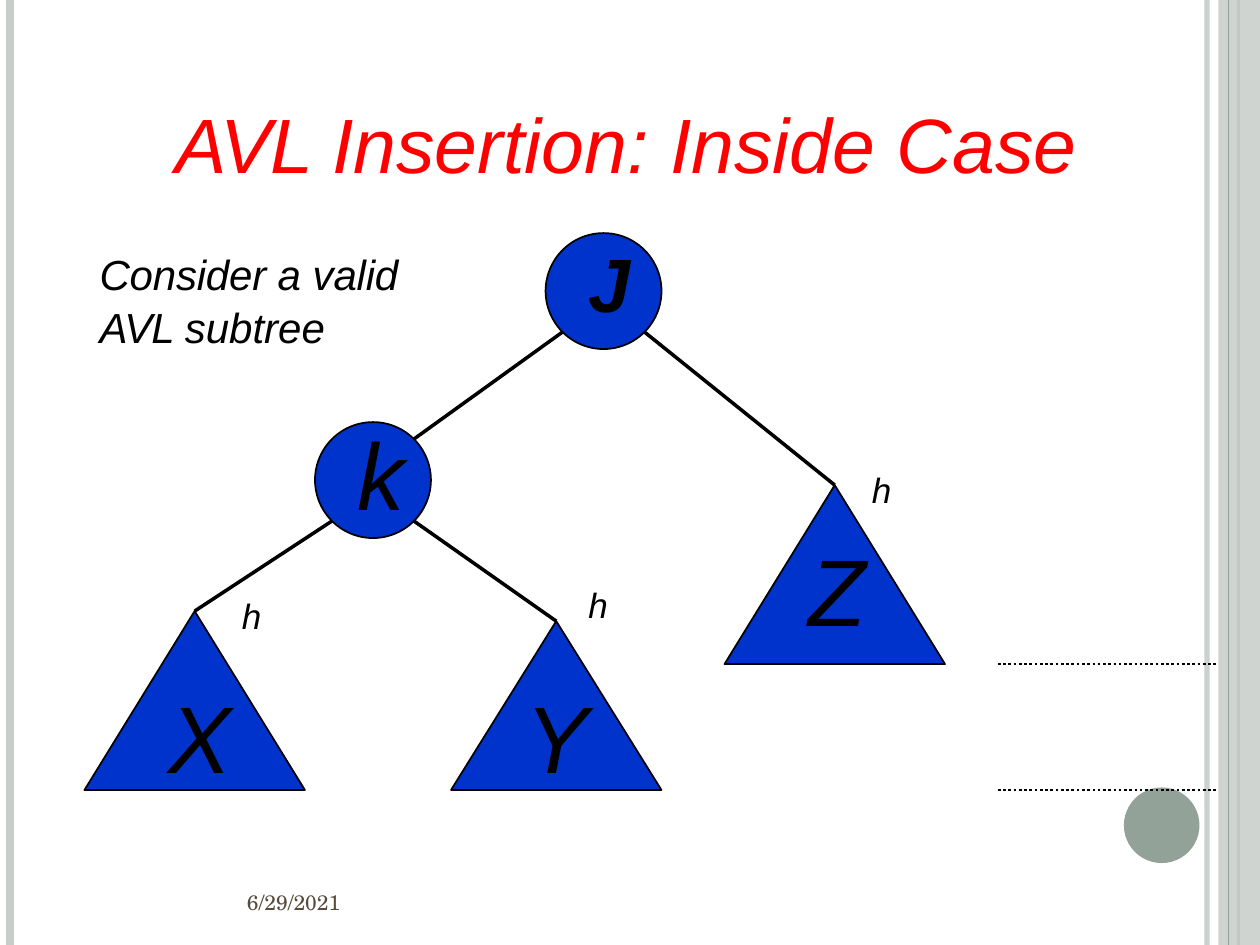
from math import sqrt

from pptx import Presentation
from pptx.dml.color import RGBColor
from pptx.enum.dml import MSO_LINE
from pptx.enum.shapes import MSO_CONNECTOR, MSO_SHAPE
from pptx.enum.text import MSO_ANCHOR, PP_ALIGN
from pptx.oxml.ns import qn
from pptx.util import Inches, Pt
from lxml.etree import SubElement

THEME = dict(
    black="000000", node="0033CC", title="FF0000", band="C8CECA",
    accent="93A299", date="564B3C", body="Arial", serif="TeX Gyre Schola",
    title_size=44, letter_size=54, note_size=24, height_size=20, date_size=12,
)
W, H = 10, 7.5

# x, colour, width in points, opacity in percent
STRIPES_BEHIND = [(9.58, THEME["band"], 3, 93), (0.08, THEME["band"], 4.5, 100),
                  (9.83, THEME["accent"], 1.5, 100)]
STRIPES_FRONT = [(9.75, THEME["accent"], 0.75, 100)]

# Lines of text, each a list of (text, character spacing in points)
TITLE = [[("AVL ", -0.8), ("Insertion: Inside Case", 0)]]
NOTE = [[("Consider ", -0.1), ("a ", 0), ("valid", -0.1)],
        [("AVL ", -0.5), ("subtree", 0)]]
DATE = [[("6/29/2021", 0)]]

DIAMETER = 0.92
CIRCLES = {"j": (4.79, 2.31), "k": (2.96, 3.81)}              # centre
SUBTREES = {"X": (0.67, 4.85, 1.75, 1.42), "Y": (3.58, 4.93, 1.67, 1.34),
            "Z": (5.75, 3.85, 1.75, 1.42)}                     # left, top, width, height
LETTERS = {"k": (2.84, 3.28, 0.4), "X": (1.34, 5.37, 0.53),
           "Y": (4.17, 5.37, 0.53), "Z": (6.42, 4.2, 0.49)}    # left, top, width
HEIGHTS = [(6.92, 3.7), (4.67, 4.61), (1.92, 4.7)]             # left, top
EDGES = [("j", -1, "k"), ("k", -1, "X"), ("k", 1, "Y"), ("j", 1, "Z")]
LEVELS = [5.27, 6.27]

prs = Presentation()
prs.slide_width, prs.slide_height = Inches(W), Inches(H)
s = prs.slides.add_slide(prs.slide_layouts[6])


def rgb(c):
    return RGBColor.from_string(c)


def set_opacity(fill_parent, percent):
    color = next(fill_parent.iter(qn("a:srgbClr")))
    SubElement(color, qn("a:alpha")).set("val", str(percent * 1000))


def add_shape(kind, x, y, w, h, fill, outline=None):
    sp = s.shapes.add_shape(kind, *map(Inches, (x, y, w, h)))
    sp.shadow.inherit = False
    sp.fill.solid()
    sp.fill.fore_color.rgb = rgb(fill)
    if outline:
        sp.line.color.rgb = rgb(outline)
        sp.line.width = Pt(1)
    else:
        sp.line.fill.background()
    return sp


def add_line(start, end, color, width, opacity=100, dash=None):
    ln = s.shapes.add_connector(MSO_CONNECTOR.STRAIGHT, *map(Inches, (*start, *end)))
    ln.line.color.rgb = rgb(color)
    ln.line.width = Pt(width)
    if dash:
        ln.line.dash_style = dash
    if opacity < 100:
        set_opacity(ln.line.fill._xPr, opacity)
    SubElement(ln._element.spPr, qn("a:effectLst"))
    return ln


def add_text(lines, x, y, w, h, size, color=THEME["black"], font=THEME["body"],
             bold=False, italic=True, align=PP_ALIGN.LEFT, anchor=MSO_ANCHOR.TOP,
             insets=(0, 0.02, 0, 0), gap=0, small_caps=False):
    tf = s.shapes.add_textbox(*map(Inches, (x, y, w, h))).text_frame
    tf.word_wrap = True
    tf.vertical_anchor = anchor
    tf.margin_left, tf.margin_top, tf.margin_right, tf.margin_bottom = map(Inches, insets)
    for i, runs in enumerate(lines):
        p = tf.add_paragraph() if i else tf.paragraphs[0]
        p.alignment = align
        if i:
            p.space_before = Pt(gap)
        for text, spacing in runs:
            r = p.add_run()
            r.text = text
            r.font.name, r.font.size = font, Pt(size)
            r.font.bold, r.font.italic = bold, italic
            r.font.color.rgb = rgb(color)
            rPr = r.font._element
            if spacing:
                rPr.set("spc", str(round(spacing * 100)))
            if small_caps:
                rPr.set("cap", "small")


def add_stripes(stripes):
    for x, color, width, opacity in stripes:
        add_line((x, 0), (x, H), color, width, opacity)


def rim(name, dx, dy):
    """Point on a circle's rim along a diagonal direction."""
    cx, cy = CIRCLES[name]
    reach = DIAMETER / 2 / sqrt(2)
    return cx + dx * reach, cy + dy * reach


# Slide frame
add_stripes(STRIPES_BEHIND)
band = add_shape(MSO_SHAPE.RECTANGLE, 9.67, 0, W - 9.67, H, THEME["band"])
set_opacity(band._element.spPr, 87)
add_stripes(STRIPES_FRONT)
add_shape(MSO_SHAPE.OVAL, 8.92, 6.25, 0.6, 0.6, THEME["accent"])

# Tree
for cx, cy in CIRCLES.values():
    add_shape(MSO_SHAPE.OVAL, cx - DIAMETER / 2, cy - DIAMETER / 2,
              DIAMETER, DIAMETER, THEME["node"], THEME["black"])
triangles = {name: add_shape(MSO_SHAPE.ISOSCELES_TRIANGLE, *box, THEME["node"], THEME["black"])
             for name, box in SUBTREES.items()}
for parent, side, child in EDGES:
    if child in CIRCLES:
        end = rim(child, -side, -1)
    else:
        x, y, w, _ = SUBTREES[child]
        end = (x + w / 2, y)
    edge = add_line(rim(parent, side, 1), end, THEME["black"], 2)
    if child in triangles:
        edge.end_connect(triangles[child], 0)
for y in LEVELS:
    add_line((7.92, y), (9.67, y), THEME["black"], 1.5, dash=MSO_LINE.ROUND_DOT)

# Text
add_text([[("j", -0.1)]], 4.67, 1.7, 0.4, 0.93, THEME["letter_size"], bold=True,
         anchor=MSO_ANCHOR.BOTTOM, small_caps=True)
for letter, (x, y, w) in LETTERS.items():
    add_text([[(letter, 0)]], x, y, w, 0.93, THEME["letter_size"])
for x, y in HEIGHTS:
    add_text([[("h", 0)]], x, y, 0.18, 0.36, THEME["height_size"])
add_text(TITLE, 1.39, 0.75, 7.3, 0.76, THEME["title_size"], THEME["title"])
add_text(NOTE, 0.79, 1.95, 2.5, 0.83, THEME["note_size"], gap=1.4)
add_text(DATE, 0.5, 6.97, 2.3, 0.38, THEME["date_size"], THEME["date"], THEME["serif"],
         italic=False, align=PP_ALIGN.RIGHT, anchor=MSO_ANCHOR.MIDDLE,
         insets=(0.1, 0.05, 0.1, 0.05))

prs.save("out.pptx")
